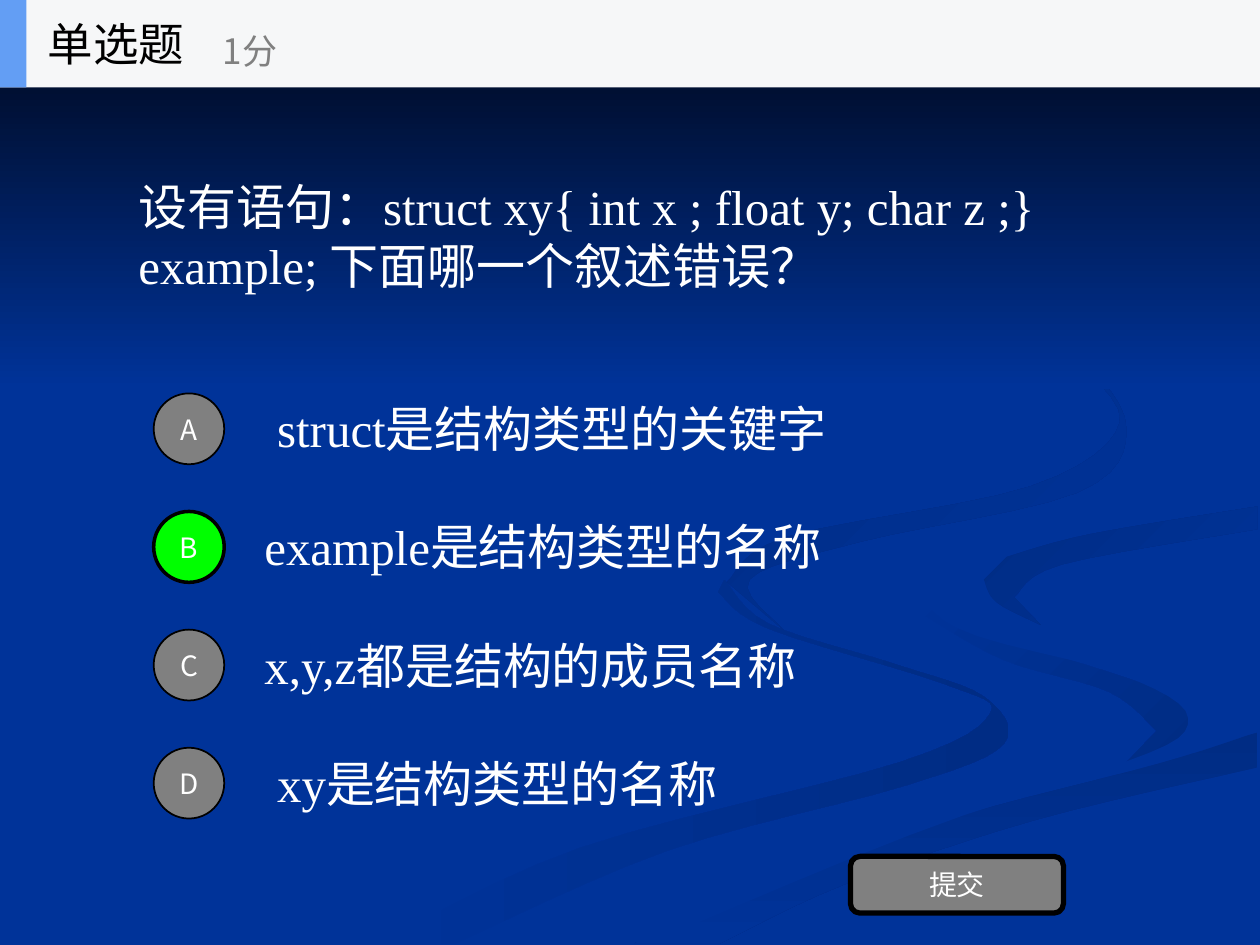
"""Build a single-choice quiz slide about C structures."""
from dataclasses import dataclass
from typing import NamedTuple, Optional

from lxml.etree import SubElement
from pptx import Presentation
from pptx.dml.color import RGBColor
from pptx.enum.shapes import MSO_SHAPE
from pptx.enum.text import MSO_ANCHOR, MSO_AUTO_SIZE, PP_ALIGN
from pptx.oxml.ns import qn
from pptx.util import Inches, Pt

WIDTH, HEIGHT = Inches(10), Inches(7.5)
COLUMN, ROW = WIDTH / 10, HEIGHT / 8
CURVE_STEPS = 6
Point = tuple[float, float]


@dataclass(frozen=True)
class Theme:
    background: str = "003399"
    shade: str = "002C84"
    night: str = "000514"
    header: str = "F6F7F8"
    accent: str = "639EF4"
    muted: str = "808080"
    chosen: str = "00FF00"
    ink: str = "000000"
    light: str = "FFFFFF"
    serif: str = "Times New Roman"
    sans: str = "Noto Sans CJK SC"
    body_size: int = 28
    title_size: int = 26
    score_size: int = 20
    button_size: int = 16


class Area(NamedTuple):
    column: float
    row: float
    columns: float
    rows: float

    def lengths(self) -> list[int]:
        return [round(self.column * COLUMN), round(self.row * ROW),
                round(self.columns * COLUMN), round(self.rows * ROW)]


class Option(NamedTuple):
    letter: str
    statement: str
    indent: float = 0
    chosen: bool = False


class Ribbon(NamedTuple):
    colours: tuple[str, ...]
    angle: int
    edges: tuple[tuple[Point, ...], ...]


THEME = Theme()
FADE_OUT = (THEME.background, THEME.shade)
FADE_IN = (THEME.shade, THEME.background)
OPTIONS = (
    Option("A", "struct是结构类型的关键字", indent=0.1),
    Option("B", "example是结构类型的名称", chosen=True),
    Option("C", "x,y,z都是结构的成员名称"),
    Option("D", "xy是结构类型的名称", indent=0.1),
)
RIBBONS = (
    Ribbon(FADE_OUT, 0, (
        ((5.75, 4.6), (6.1, 4.95), (7.1, 5.27), (7.81, 5.53), (7.97, 5.9), (7.2, 6.23),
         (5.3, 6.75), (3.61, 7.49)),
        ((3, 7.49), (4.6, 6.73), (7.14, 6.05), (7.86, 5.66), (7.5, 5.43), (6.1, 4.99),
         (5.7, 4.7)))),
    Ribbon(FADE_OUT, 45, (
        ((7.24, 4.64), (7.58, 4.98), (8.5, 5.24), (9.3, 5.53), (9.41, 5.81), (8.94, 6.05)),
        ((9.18, 5.8), (8.8, 5.49), (7.97, 5.24), (7.33, 4.88)))),
    Ribbon(FADE_IN, 90, (
        ((5.71, 7.49), (6.7, 7.02), (8.21, 6.51), (9.98, 6.09)),
        ((9.98, 5.81), (9.2, 6.06), (7.64, 6.47), (6.3, 6.93), (5.03, 7.49)))),
    Ribbon((THEME.background,), 0, (
        ((4.77, 7.49), (6.63, 6.68), (8.92, 6.05), (9.43, 5.7), (8.89, 5.35), (7.59, 4.98),
         (7.3, 4.49), (8.3, 4.15), (9.99, 3.87)),
        ((9.99, 4.02), (8.65, 4.24), (7.82, 4.6), (8.32, 4.98), (9.99, 5.38)),
        ((9.99, 5.81), (7.65, 6.47), (5.19, 7.47)))),
    Ribbon(FADE_IN, 45, (
        ((7.81, 4.6), (7.91, 4.78), (8.26, 4.96)),
        ((8.05, 4.74), (8.43, 4.48), (9.98, 4.2)),
        ((9.98, 4.02), (8.65, 4.24), (7.99, 4.42)))),
    Ribbon(FADE_IN, 45, (
        ((7.62, 2.33), (8.54, 2.83), (8.94, 3.4), (8.55, 3.91), (6.83, 4.3), (5.95, 4.6),
         (6.22, 5)),
        ((5.77, 4.62), (6.25, 4.26), (8.18, 3.86), (8.89, 3.35), (8.46, 2.79)))),
)


def spline(before: float, start: float, end: float, after: float, t: float) -> float:
    return start + t / 2 * (end - before + t * (
        2 * before - 5 * start + 4 * end - after + t * (3 * (start - end) + after - before)))


def smooth(edge: tuple[Point, ...]) -> list[Point]:
    padded = (edge[0], *edge, edge[-1])
    curve = [tuple(spline(*axis, step / CURVE_STEPS) for axis in zip(*padded[i:i + 4]))
             for i in range(len(edge) - 1) for step in range(CURVE_STEPS)]
    return [*curve, edge[-1]]


def paint(shape, *colours: str, angle: int = 0, outline: float = 0) -> None:
    shape.shadow.inherit = False
    if len(colours) == 1:
        shape.fill.solid()
        shape.fill.fore_color.rgb = RGBColor.from_string(colours[0])
    else:
        shape.fill.gradient()
        shape.fill.gradient_angle = -angle % 360
        for stop, colour in zip(shape.fill.gradient_stops, colours):
            stop.color.rgb = RGBColor.from_string(colour)
    if outline:
        shape.line.color.rgb = RGBColor.from_string(THEME.ink)
        shape.line.width = Pt(outline)
    else:
        shape.line.fill.background()


def write(shape, text: str, *, size: int, colour: str = THEME.light, latin: str = THEME.sans,
          align: PP_ALIGN = PP_ALIGN.LEFT, wrap: bool = True, indent: float = 0) -> None:
    frame = shape.text_frame
    frame.auto_size = MSO_AUTO_SIZE.NONE
    frame.word_wrap = wrap
    frame.vertical_anchor = MSO_ANCHOR.MIDDLE
    frame.margin_left = Inches(0.1 + indent)
    paragraph = frame.paragraphs[0]
    paragraph.alignment = align
    run = paragraph.add_run()
    run.text = text
    run.font.size = Pt(size)
    run.font.color.rgb = RGBColor.from_string(colour)
    run.font.name = latin
    SubElement(run.font._element, qn("a:ea"), typeface=THEME.sans)


def add_text(slide, area: Area, text: str, **style) -> None:
    write(slide.shapes.add_textbox(*area.lengths()), text, **style)


def add_panel(slide, area: Area, *colours: str, preset: MSO_SHAPE = MSO_SHAPE.RECTANGLE,
              angle: int = 0, outline: float = 0, label: Optional[str] = None) -> None:
    panel = slide.shapes.add_shape(preset, *area.lengths())
    paint(panel, *colours, angle=angle, outline=outline)
    if label:
        write(panel, label, size=THEME.button_size, align=PP_ALIGN.CENTER)


def add_ribbon(slide, ribbon: Ribbon) -> None:
    start, *rest = [(Inches(x), Inches(y)) for edge in ribbon.edges for x, y in smooth(edge)]
    builder = slide.shapes.build_freeform(*start)
    builder.add_line_segments(rest, close=True)
    paint(builder.convert_to_shape(), *ribbon.colours, angle=ribbon.angle)


def add_option(slide, index: int, option: Option) -> None:
    add_text(slide, Area(2, 3.25 + index, 7, 0.75), option.statement, size=THEME.body_size,
             latin=THEME.serif, indent=option.indent)
    add_panel(slide, Area(1.22, 3.33 + index, 0.56, 0.6),
              THEME.chosen if option.chosen else THEME.muted, preset=MSO_SHAPE.OVAL,
              outline=2 if option.chosen else 1, label=option.letter)


def add_header(slide) -> None:
    add_panel(slide, Area(0, 0, 10, 0.74), THEME.header)
    add_panel(slide, Area(0, 0, 0.21, 0.74), THEME.accent)
    title = slide.shapes.title
    title.left, title.top, title.width, title.height = Area(0.28, 0, 2.08, 0.74).lengths()
    write(title, "单选题", size=THEME.title_size, colour=THEME.ink, wrap=False)
    slide.shapes._spTree.append(title._element)
    add_text(slide, Area(1.67, 0.13, 2.5, 0.6), "1分", size=THEME.score_size,
             colour=THEME.muted, wrap=False)


def main() -> None:
    deck = Presentation()
    deck.slide_width, deck.slide_height = WIDTH, HEIGHT
    slide = deck.slides.add_slide(deck.slide_layouts[5])
    slide.background.fill.solid()
    slide.background.fill.fore_color.rgb = RGBColor.from_string(THEME.background)
    for ribbon in RIBBONS:
        add_ribbon(slide, ribbon)
    add_panel(slide, Area(0, 0, 10, 3.29), THEME.night, THEME.background, angle=90)
    add_text(slide, Area(1, 0.74, 8, 2.5),
             "设有语句：struct xy{ int x ; float y; char z ;} example; 下面哪一个叙述错误？",
             size=THEME.body_size, latin=THEME.serif)
    for index, option in enumerate(OPTIONS):
        add_option(slide, index, option)
    add_panel(slide, Area(6.75, 7.25, 1.69, 0.48), THEME.muted,
              preset=MSO_SHAPE.ROUNDED_RECTANGLE, outline=3, label="提交")
    add_header(slide)
    deck.save("out.pptx")


if __name__ == "__main__":
    main()
